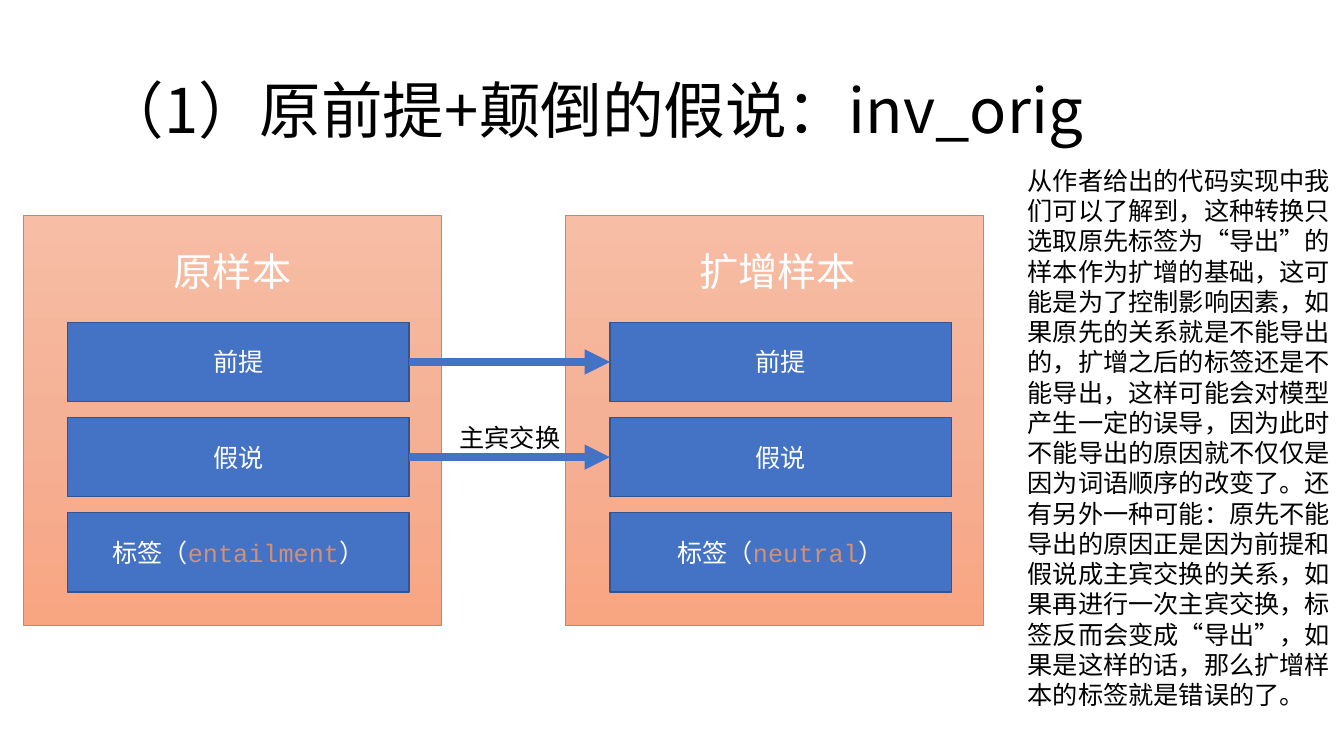
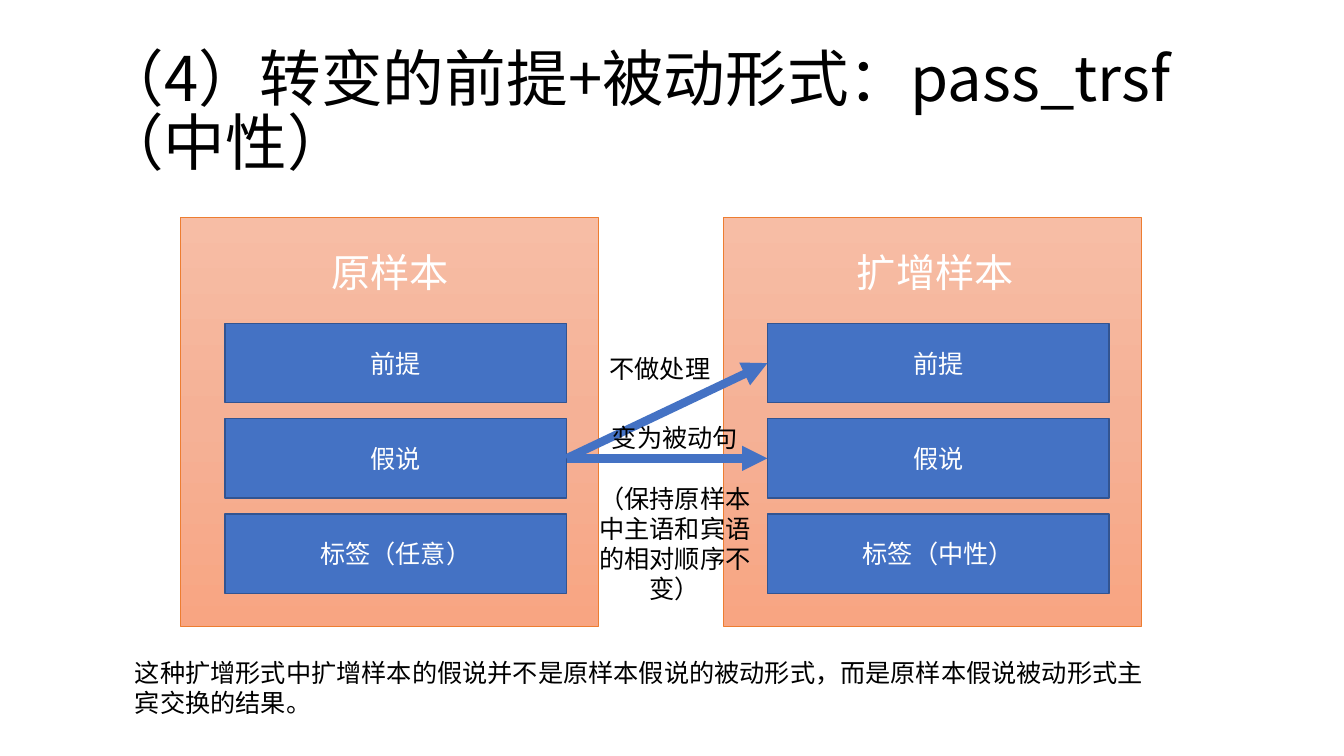
"""Build two slides that compare original samples with augmented samples."""
from copy import deepcopy
from dataclasses import dataclass
from typing import Any

from lxml.etree import SubElement
from pptx import Presentation
from pptx.dml.color import RGBColor as Rgb
from pptx.enum.shapes import MSO_CONNECTOR as Connector
from pptx.enum.shapes import MSO_SHAPE as Preset
from pptx.enum.text import MSO_ANCHOR as Anchor
from pptx.enum.text import PP_ALIGN as Align
from pptx.oxml.ns import qn
from pptx.slide import Slide
from pptx.util import Cm, Pt

COLORS = {
    "ink": "000000",
    "light": "FFFFFF",
    "code": "CE9178",
    "bar": "4472C4",
    "bar_edge": "325491",
    "panel_edge": "ED7D31",
    "panel_top": "F7BDA5",
    "panel_middle": "F5B196",
    "panel_bottom": "F8A582",
}
BODY_FONT = "Noto Sans CJK SC"
CODE_FONT = "Courier New"

PANEL_WIDTH, PANEL_HEIGHT, PANEL_PITCH = 10.54, 10.31, 13.67
BAR_INDENT, BAR_DROP, BAR_PITCH = 1.12, 2.68, 2.4
BAR_WIDTH, BAR_HEIGHT = 8.61, 2.0


@dataclass(frozen=True)
class Run:
    text: str
    font: str = BODY_FONT
    color: str | None = None


@dataclass(frozen=True)
class Sample:
    heading: str
    heading_indent: float
    label: tuple[Run, ...]


@dataclass(frozen=True)
class Note:
    left: float
    top: float
    width: float
    height: float
    paragraphs: tuple[str, ...]
    centered: bool = False
    wrap: bool = True


@dataclass(frozen=True)
class Transformation:
    title: str
    left: float
    top: float
    labels: tuple[tuple[Run, ...], tuple[Run, ...]]
    arrows: tuple[tuple[int, int], ...]
    notes: tuple[Note, ...]


def rgb(name: str) -> Rgb:
    """Look up a named colour."""
    return Rgb.from_string(COLORS[name])


def write(frame: Any, *paragraphs: tuple[Run, ...], size: float = 18,
          color: str = "ink", align: Align = Align.LEFT,
          anchor: Anchor = Anchor.TOP, wrap: bool = True,
          leading: float = 1.2, gap: float = 0) -> None:
    """Fill a text frame with formatted paragraphs."""
    frame.word_wrap = wrap
    frame.vertical_anchor = anchor
    for index, runs in enumerate(paragraphs):
        paragraph = frame.add_paragraph() if index else frame.paragraphs[0]
        paragraph.alignment = align
        paragraph.line_spacing = Pt(size * leading)
        paragraph.space_before = Pt(gap if index else 0)
        for run in runs:
            written = paragraph.add_run()
            written.text = run.text
            written.font.size = Pt(size)
            written.font.name = run.font
            written.font.color.rgb = rgb(run.color or color)
            east_asian = SubElement(written.font._element, qn("a:ea"))
            east_asian.set("typeface", BODY_FONT)


def add_text(slide: Slide, left: float, top: float, width: float,
             height: float, *paragraphs: tuple[Run, ...],
             **style: Any) -> None:
    """Add a text box measured in centimetres."""
    box = slide.shapes.add_textbox(Cm(left), Cm(top), Cm(width), Cm(height))
    write(box.text_frame, *paragraphs, **style)


def add_block(slide: Slide, left: float, top: float, width: float,
              height: float, edge: str, weight: float) -> Any:
    """Add an outlined rectangle without a shadow."""
    block = slide.shapes.add_shape(
        Preset.RECTANGLE, Cm(left), Cm(top), Cm(width), Cm(height))
    block.shadow.inherit = False
    block.line.color.rgb = rgb(edge)
    block.line.width = Pt(weight)
    return block


def add_panel(slide: Slide, left: float, top: float) -> None:
    """Add the gradient background of one sample."""
    panel = add_block(slide, left, top, PANEL_WIDTH, PANEL_HEIGHT,
                      "panel_edge", 0.5)
    panel.fill.gradient()
    panel.fill.gradient_angle = 270
    first = panel._element.spPr.find(".//" + qn("a:gs"))
    first.addnext(deepcopy(first))
    shades = ("panel_top", "panel_middle", "panel_bottom")
    for index, (stop, shade) in enumerate(
            zip(panel.fill.gradient_stops, shades)):
        stop.position = index / 2
        stop.color.rgb = rgb(shade)


def add_sample(slide: Slide, sample: Sample, left: float, top: float) -> None:
    """Draw a panel with its heading and three bars."""
    add_panel(slide, left, top)
    rows = ((Run("前提"),), (Run("假说"),), sample.label)
    for index, runs in enumerate(rows):
        bar = add_block(slide, left + BAR_INDENT,
                        top + BAR_DROP + index * BAR_PITCH,
                        BAR_WIDTH, BAR_HEIGHT, "bar_edge", 1)
        bar.fill.solid()
        bar.fill.fore_color.rgb = rgb("bar")
        write(bar.text_frame, runs, color="light", align=Align.CENTER,
              anchor=Anchor.MIDDLE)
    add_text(slide, left + sample.heading_indent, top + 0.56, 5.22, 1.3,
             (Run(sample.heading),), size=28, color="light",
             align=Align.CENTER, leading=1.3)


def add_arrow(slide: Slide, left: float, top: float, source: int,
              target: int) -> None:
    """Link a bar of the original sample to one of the augmented sample."""
    start = left + BAR_INDENT + BAR_WIDTH
    end = left + PANEL_PITCH + BAR_INDENT
    start_y, end_y = (top + BAR_DROP + BAR_HEIGHT / 2 + row * BAR_PITCH
                      for row in (source, target))
    arrow = slide.shapes.add_connector(
        Connector.STRAIGHT, Cm(start), Cm(start_y), Cm(end), Cm(end_y))
    arrow.line.color.rgb = rgb("bar")
    arrow.line.width = Pt(6)
    SubElement(arrow.line._get_or_add_ln(), qn("a:tailEnd")).set(
        "type", "triangle")
    SubElement(arrow._element.spPr, qn("a:effectLst"))


def add_transformation(slide: Slide, content: Transformation) -> None:
    """Draw one complete transformation slide."""
    add_text(slide, 2.33, 1.02, 29.21, 3.68, (Run(content.title),), size=44,
             anchor=Anchor.MIDDLE, leading=1.04)
    samples = (Sample("原样本", 2.67, content.labels[0]),
               Sample("扩增样本", 2.74, content.labels[1]))
    for index, sample in enumerate(samples):
        add_sample(slide, sample, content.left + index * PANEL_PITCH,
                   content.top)
    for source, target in content.arrows:
        add_arrow(slide, content.left, content.top, source, target)
    for note in content.notes:
        add_text(slide, note.left, note.top, note.width, note.height,
                 *((Run(text),) for text in note.paragraphs),
                 align=Align.CENTER if note.centered else Align.LEFT,
                 wrap=note.wrap, gap=21.6)


def code_label(value: str) -> tuple[Run, ...]:
    """Compose a label whose value is set as code."""
    return Run("标签（"), Run(value, CODE_FONT, "code"), Run("）")


TRANSFORMATIONS = (
    Transformation(
        title="（1）原前提+颠倒的假说：inv_orig",
        left=0.58, top=5.44,
        labels=(code_label("entailment"), code_label("neutral")),
        arrows=((0, 0), (1, 1)),
        notes=(
            Note(11.33, 10.52, 3.05, 0.74, ("主宾交换",), wrap=False),
            Note(25.65, 4.04, 8.2, 14.1, (
                "从作者给出的代码实现中我们可以了解到，这种转换只选取原先标签为"
                "“导出”的样本作为扩增的基础，这可能是为了控制影响因素，如果原先"
                "的关系就是不能导出的，扩增之后的标签还是不能导出，这样可能会对"
                "模型产生一定的误导，因为此时不能导出的原因就不仅仅是因为词语顺"
                "序的改变了。还有另外一种可能：原先不能导出的原因正是因为前提和"
                "假说成主宾交换的关系，如果再进行一次主宾交换，标签反而会变成"
                "“导出”，如果是这样的话，那么扩增样本的标签就是错误的了。",)),
        ),
    ),
    Transformation(
        title="（4）转变的前提+被动形式：pass_trsf（中性）",
        left=4.55, top=5.47,
        labels=((Run("标签（任意）"),), (Run("标签（中性）"),)),
        arrows=((1, 0), (1, 1)),
        notes=(
            Note(14.76, 10.52, 4.5, 4.88,
                 ("变为被动句", "（保持原样本中主语和宾语的相对顺序不变）"),
                 centered=True),
            Note(15.11, 8.79, 3.07, 1.02, ("不做处理",), wrap=False),
            Note(3.15, 16.43, 26.37, 1.8, (
                "这种扩增形式中扩增样本的假说并不是原样本假说的被动形式，而是"
                "原样本假说被动形式主宾交换的结果。",)),
        ),
    ),
)


def main() -> None:
    """Build and save the presentation."""
    deck = Presentation()
    deck.slide_width, deck.slide_height = Cm(33.87), Cm(19.05)
    for content in TRANSFORMATIONS:
        add_transformation(deck.slides.add_slide(deck.slide_layouts[6]),
                           content)
    deck.save("out.pptx")


main()
